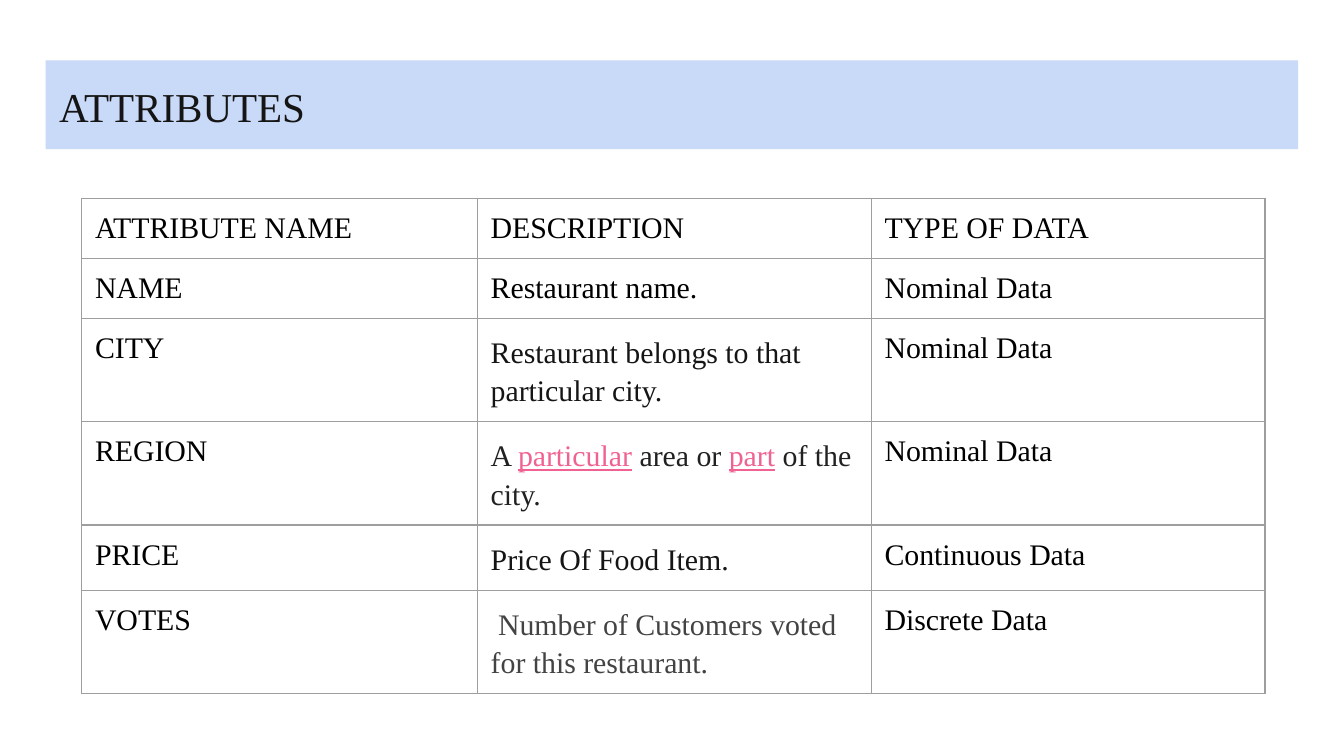
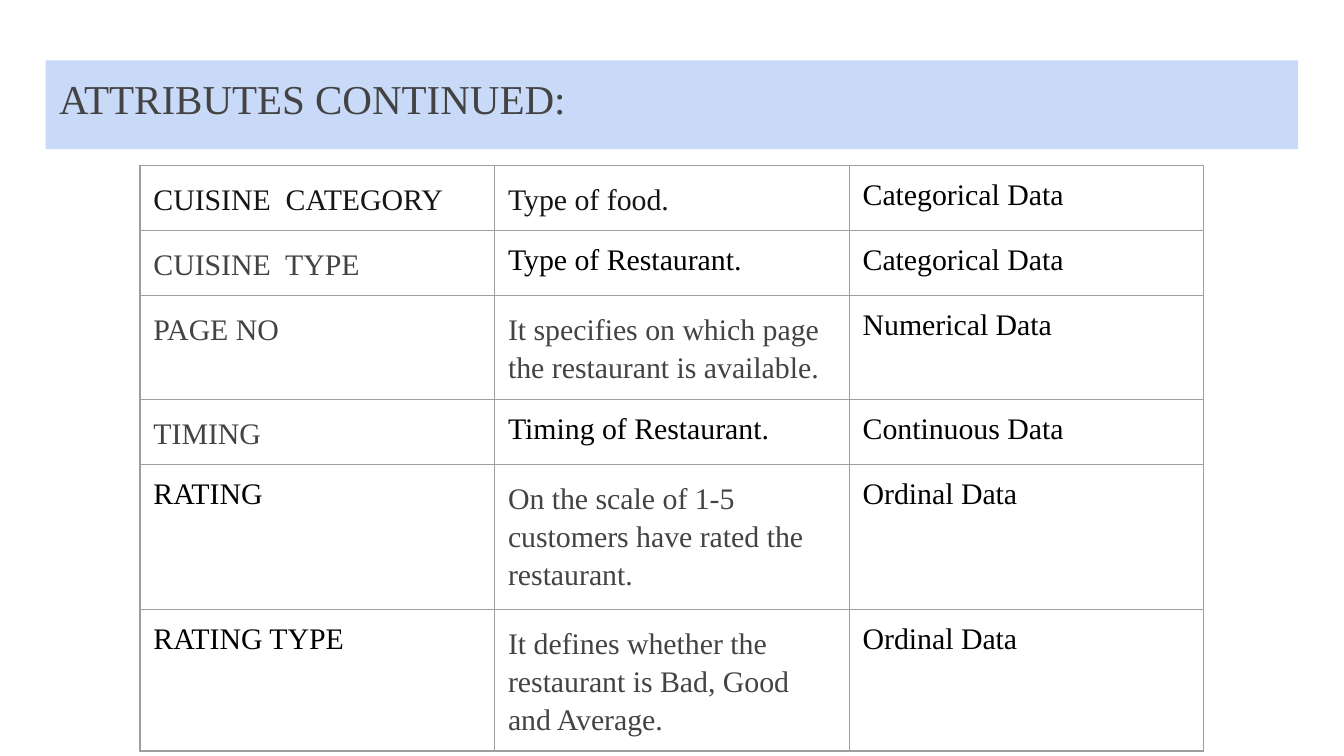
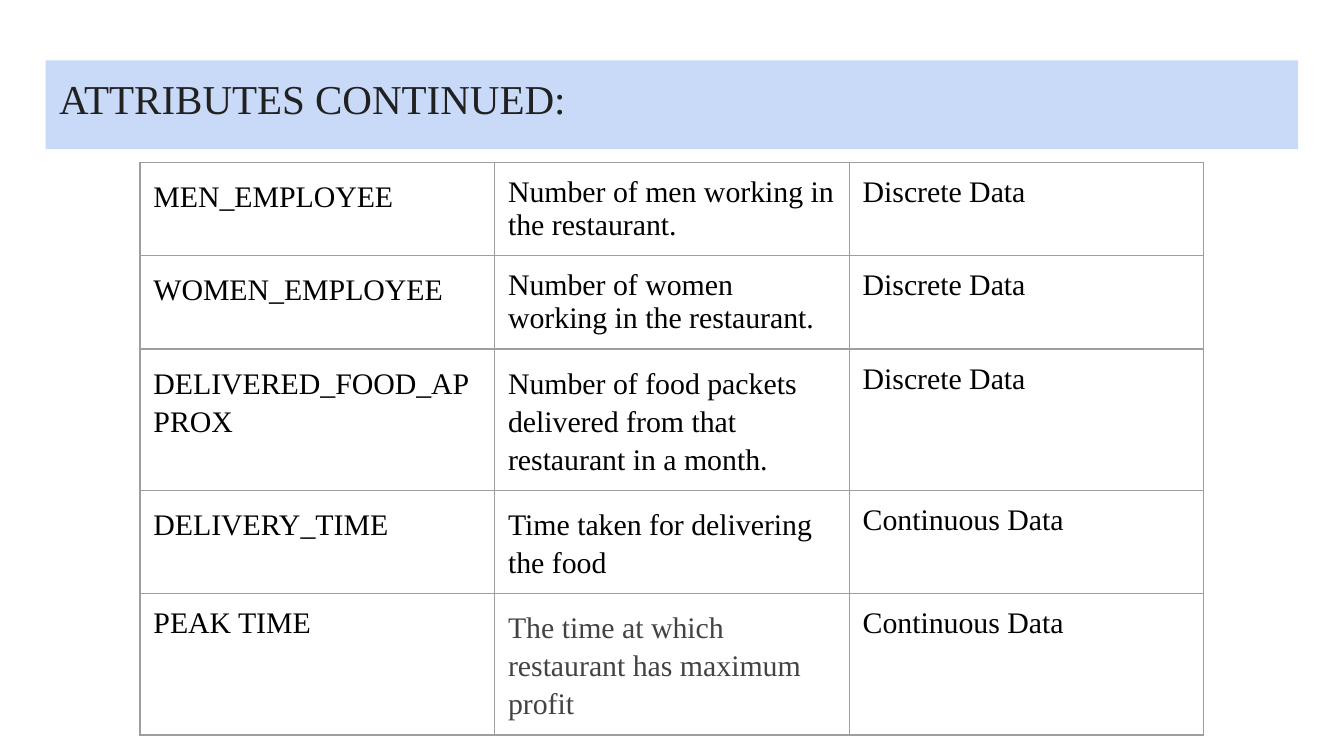
from dataclasses import dataclass

from lxml.etree import SubElement as Sub
from pptx import Presentation
from pptx.dml.color import RGBColor as Rgb
from pptx.enum.text import MSO_ANCHOR as Anchor, PP_ALIGN as Align
from pptx.oxml.ns import qn
from pptx.util import Pt


@dataclass(frozen=True)
class Theme:
    font: str = "Times New Roman"
    head: int = 22
    body: int = 16
    black: str = "000000"
    dark: str = "151515"
    deep: str = "212121"
    gray: str = "434343"
    pink: str = "F06292"
    band: str = "C9DAF8"
    rule: str = "9E9E9E"
    line: float = 0.75
    inset: float = 7.2
    lead: float = 1.15


T = Theme()


def write(frame, text, size=T.body, ink=T.black, lead=None, before=None):
    frame.word_wrap = True
    for n, line in enumerate(text.split("\n")):
        para = frame.add_paragraph() if n else frame.paragraphs[0]
        para.alignment = Align.LEFT
        if lead:
            para.line_spacing = lead
        if before:
            para.space_before = Pt(before)
        for i, piece in enumerate(line.split("|")):
            marked = i % 2 == 1
            run = para.add_run()
            run.text = piece
            font = run.font
            font.name, font.size = T.font, Pt(size)
            font.color.rgb = Rgb.from_string(T.pink if marked else ink)
            if marked:
                font.underline = True


def loose(text, ink=T.gray, before=None):
    return dict(text=text, ink=ink, lead=T.lead, before=before)


def inset(box):
    box.margin_left = box.margin_right = Pt(T.inset)
    box.margin_top = box.margin_bottom = Pt(T.inset)


def add_head(slide, text, **form):
    head = slide.shapes.title
    head.left, head.top = Pt(24.5), Pt(32.4)
    head.width, head.height = Pt(671), Pt(47.5)
    head.fill.solid()
    head.fill.fore_color.rgb = Rgb.from_string(T.band)
    frame = head.text_frame
    frame.vertical_anchor = Anchor.TOP
    inset(frame)
    write(frame, text, size=T.head, **form)


def edge(cell):
    props = cell._tc.get_or_add_tcPr()
    for side in ("lnL", "lnR", "lnT", "lnB"):
        line = Sub(props, qn("a:" + side), w=str(int(Pt(T.line))))
        fill = Sub(line, qn("a:solidFill"))
        Sub(fill, qn("a:srgbClr"), val=T.rule)


def add_grid(slide, left, top, widths, rows):
    high = sum(row[0] for row in rows)
    grid = slide.shapes.add_table(
        len(rows), len(widths), Pt(left), Pt(top), Pt(sum(widths)), Pt(high)
    ).table
    grid.first_row = grid.horz_banding = False
    for col, width in zip(grid.columns, widths):
        col.width = Pt(width)
    for r, (tall, *items) in enumerate(rows):
        grid.rows[r].height = Pt(tall)
        for c, item in enumerate(items):
            cell = grid.cell(r, c)
            inset(cell)
            edge(cell)
            cell.fill.background()
            form = item if isinstance(item, dict) else dict(text=item)
            write(cell.text_frame, **form)


BASIC = [
    (32, "ATTRIBUTE NAME", "DESCRIPTION", "TYPE OF DATA"),
    (32, "NAME", "Restaurant name.", "Nominal Data"),
    (55, "CITY", loose("Restaurant belongs to that particular city.", T.dark, 16),
     "Nominal Data"),
    (55, "REGION", loose("A |particular| area or |part| of the city.", T.deep, 16),
     "Nominal Data"),
    (34.8, "PRICE", loose("Price Of Food Item.", T.dark, 16), "Continuous Data"),
    (55, "VOTES", loose(" Number of Customers voted for this restaurant."),
     "Discrete Data"),
]

FOOD = [
    (34.8, loose("CUISINE  CATEGORY", T.dark, 16),
     loose("Type of food.", T.dark, 16), "Categorical Data"),
    (34.8, loose("CUISINE  TYPE"), "Type of Restaurant.", "Categorical Data"),
    (55.5, loose("PAGE NO"),
     loose("It specifies on which page the restaurant is available."),
     "Numerical Data"),
    (34.8, loose("TIMING"), "Timing of Restaurant.", "Continuous Data"),
    (77.8, "RATING",
     loose("On the scale of 1-5\ncustomers have rated the restaurant."),
     "Ordinal Data"),
    (75.5, "RATING TYPE",
     loose("It defines whether the restaurant is Bad, Good and Average."),
     "Ordinal Data"),
]

STAFF = [
    (49.8, loose("MEN_EMPLOYEE", T.black),
     "Number of men working in the restaurant.", "Discrete Data"),
    (49.8, loose("WOMEN_EMPLOYEE", T.black),
     "Number of women working in the restaurant.", "Discrete Data"),
    (75.5, loose("DELIVERED_FOOD_APPROX", T.black),
     loose("Number of food packets delivered from that restaurant in a month.",
           T.black), "Discrete Data"),
    (55, loose("DELIVERY_TIME", T.black),
     loose("Time taken for delivering the food", T.black), "Continuous Data"),
    (75.5, "PEAK TIME",
     loose("The time at which restaurant has maximum profit"),
     "Continuous Data"),
]


def main():
    deck = Presentation()
    deck.slide_width, deck.slide_height = Pt(720), Pt(405)
    more = "ATTRIBUTES CONTINUED:"
    thirds = [190] * 3
    pages = [
        (loose("ATTRIBUTES", T.dark), 43.7, 106.3, [212, 211, 211], BASIC),
        (dict(text=more, ink=T.gray), 75, 88.7, thirds, FOOD),
        (dict(text=more, ink=T.deep), 75, 87, thirds, STAFF),
    ]
    for head, *grid in pages:
        slide = deck.slides.add_slide(deck.slide_layouts[5])
        add_head(slide, **head)
        add_grid(slide, *grid)
    deck.save("out.pptx")


if __name__ == "__main__":
    main()
